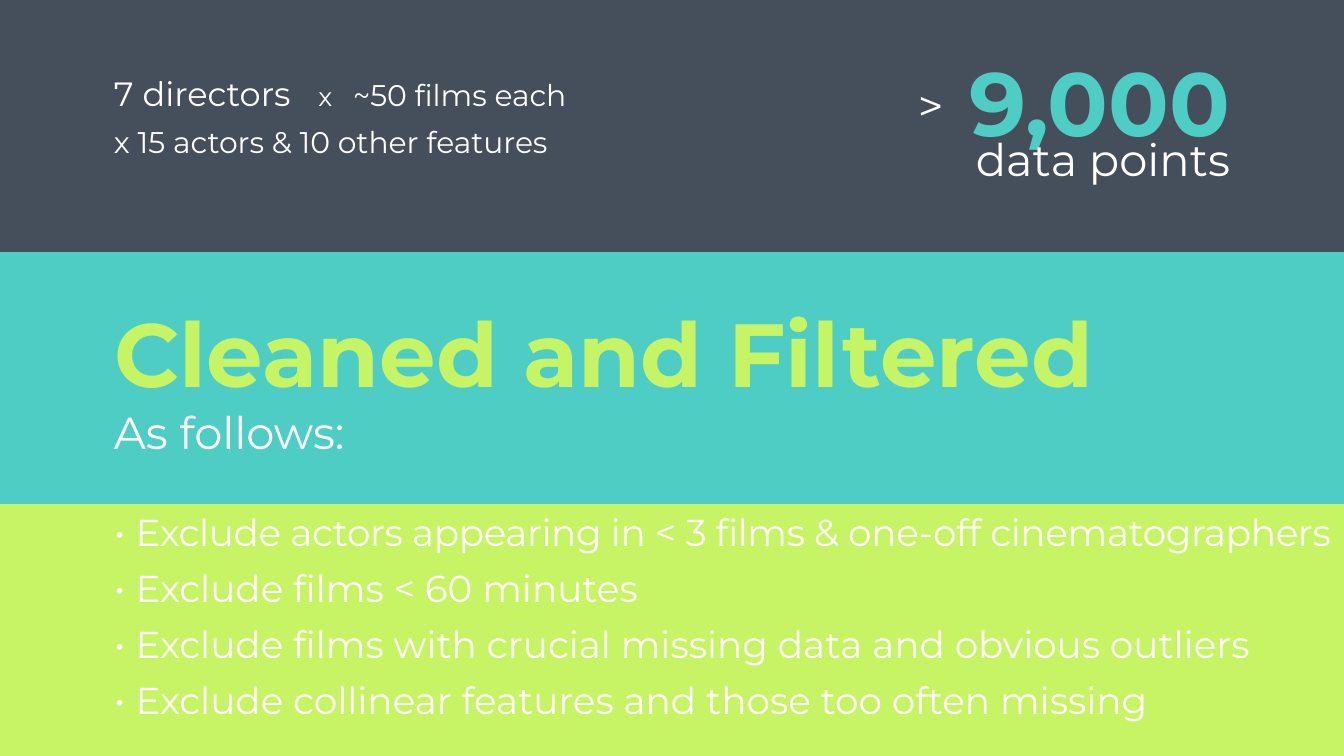
from lxml.etree import SubElement as Sub
from pptx import Presentation
from pptx.dml.color import RGBColor
from pptx.enum.shapes import MSO_SHAPE as Shape
from pptx.enum.text import MSO_ANCHOR as Anchor, MSO_AUTO_SIZE as Fit, PP_ALIGN as Align
from pptx.oxml.ns import qn
from pptx.util import Inches, Pt

FONT = "Montserrat"
DARK, TEAL, LIME, WHITE = "454F5B", "4ECDC4", "C7F464", "FFFFFF"
PAGE = 10
TALL = PAGE * 9 / 16
BAND = TALL / 3
LEFT, WIDE = 0.75, 8.5
RULES = [
    "Exclude actors appearing in < 3 films & one-off cinematographers",
    "Exclude films < 60 minutes",
    "Exclude films with crucial missing data and obvious outliers",
    "Exclude collinear features and those too often missing",
]


def paint(fill, color):
    fill.solid()
    fill.fore_color.rgb = RGBColor.from_string(color)


def add_band(slide, top, color):
    band = slide.shapes.add_shape(
        Shape.RECTANGLE, 0, Inches(top), Inches(PAGE), Inches(BAND))
    band.shadow.inherit = False
    paint(band.fill, color)
    band.line.fill.background()
    return band


def add_bullet(para, indent):
    props = para._p.get_or_add_pPr()
    props.set("marL", str(Inches(indent)))
    props.set("indent", str(-Inches(indent)))
    Sub(props, qn("a:buFont"), typeface=FONT)
    Sub(props, qn("a:buChar"), char="•")


def add_tabs(para, stops):
    tabs = Sub(para._p.get_or_add_pPr(), qn("a:tabLst"))
    for stop in stops:
        Sub(tabs, qn("a:tab"), pos=str(Inches(stop)), algn="l")


def set_text(shape, lines, box, size=24, color=WHITE, bold=False,
             align=Align.LEFT, anchor=Anchor.TOP, indent=None, right=0.1):
    """Each line is a string or a list of (text, size) runs."""
    shape.left, shape.top, shape.width, shape.height = map(Inches, box)
    frame = shape.text_frame
    frame.word_wrap, frame.auto_size = True, Fit.NONE
    frame.vertical_anchor = anchor
    frame.margin_left = frame.margin_top = frame.margin_bottom = Inches(0.1)
    frame.margin_right = Inches(right)
    for i, line in enumerate(lines):
        para = frame.add_paragraph() if i else frame.paragraphs[0]
        para.alignment = align
        para.space_before = Pt(6 if i else 0)
        if indent:
            add_bullet(para, indent)
        runs = [(line, size)] if isinstance(line, str) else line
        for text, points in runs:
            run = para.add_run()
            run.text = text
            run.font.name, run.font.size = FONT, Pt(points)
            run.font.bold = bold
            run.font.color.rgb = RGBColor.from_string(color)
    return frame.paragraphs


def add_text(slide, lines, box, **form):
    shape = slide.shapes.add_textbox(*map(Inches, box))
    return set_text(shape, lines, box, **form)


def main():
    deck = Presentation()
    deck.slide_width, deck.slide_height = Inches(PAGE), Inches(TALL)
    slide = deck.slides.add_slide(deck.slide_layouts[1])

    # Lime ground with two bands, sent behind the placeholders
    paint(slide.background.fill, LIME)
    for i, color in enumerate((DARK, TEAL)):
        band = add_band(slide, i * BAND, color)
        slide.shapes._spTree.insert(2 + i, band._element)

    # Top band: the sum and its result
    add_text(slide, ["9,000"], (LEFT, 0.27, WIDE, 0.98), size=48, color=TEAL,
             bold=True, align=Align.RIGHT, anchor=Anchor.BOTTOM)
    add_text(slide, ["data points"], (6.92, 0.88, 2.33, 0.51), align=Align.RIGHT)
    add_text(slide, [">"], (4.79, 0.48, 2.33, 0.51), align=Align.RIGHT)
    first = [("7 directors", 18), ("\tx\t", 14), ("~50 films each", 16)]
    paras = add_text(slide, [first, "x 15 actors & 10 other features"],
                     (LEFT, 0.44, 3.83, 1.89), size=16)
    add_tabs(paras[0], (1.52, 1.78))

    # Middle band: title and lead-in
    set_text(slide.shapes.title, ["Cleaned and Filtered"],
             (LEFT, 2.14, WIDE, 0.98), size=48, color=LIME, bold=True,
             anchor=Anchor.BOTTOM)
    add_text(slide, ["As follows:"], (LEFT, 2.91, WIDE, 0.51))

    # Bottom: filter rules, the long first one set a little tighter
    paras = set_text(slide.placeholders[1], RULES, (LEFT, 3.69, 9.25, 1.85),
                     size=20, indent=0.16, right=0)
    paras[0].runs[0].font._element.set("spc", "-20")

    deck.save("out.pptx")


if __name__ == "__main__":
    main()
